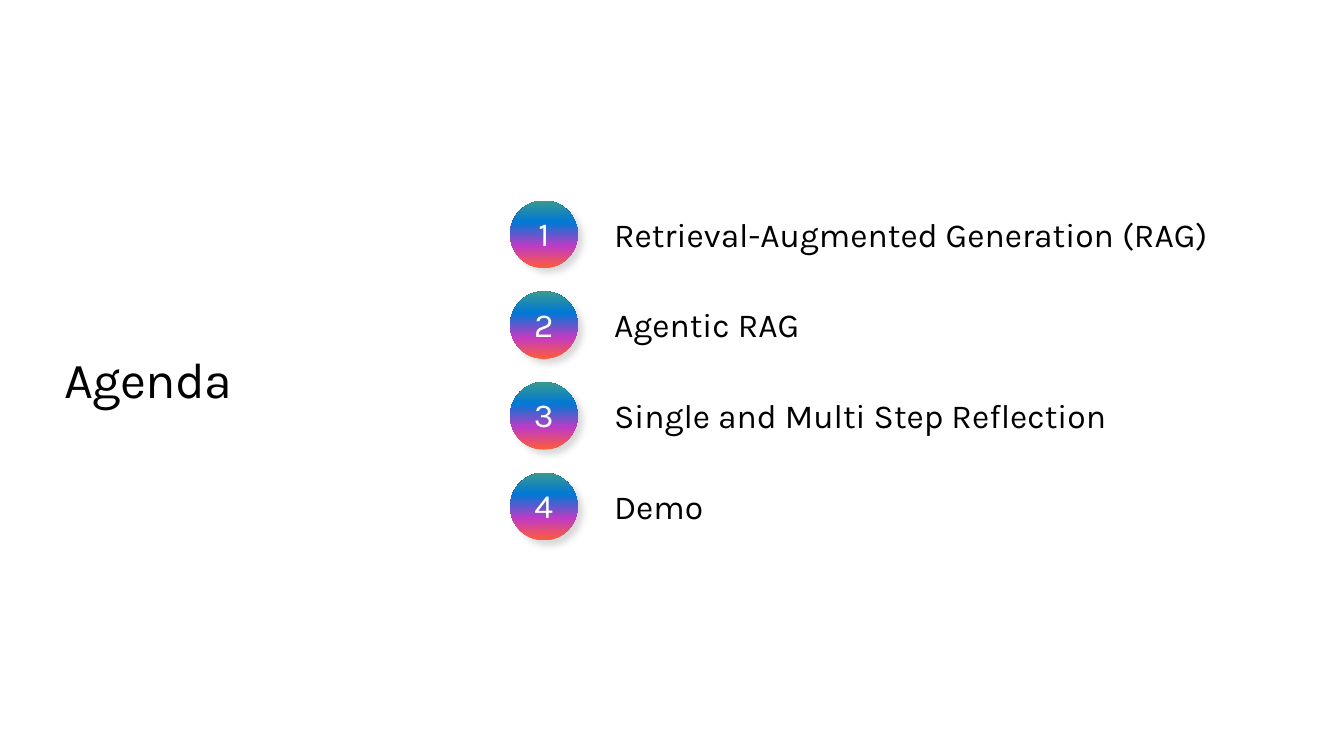
"""Build the agenda slide with four numbered topics."""
from dataclasses import dataclass

import lxml.etree
import pptx
import pptx.dml.color
import pptx.enum.shapes
import pptx.enum.text
import pptx.oxml
import pptx.oxml.ns
import pptx.shapes.autoshape
import pptx.slide
import pptx.util

Inches = pptx.util.Inches
RGBColor = pptx.dml.color.RGBColor
Align = pptx.enum.text.PP_ALIGN
AutoSize = pptx.enum.text.MSO_AUTO_SIZE

FONT = "Karla"
BLACK = RGBColor(0x00, 0x00, 0x00)
WHITE = RGBColor(0xFF, 0xFF, 0xFF)
SHADOW = RGBColor(0x45, 0x41, 0x42)
GRADIENT = (
    (0, RGBColor(0xFF, 0x5C, 0x39)),
    (32, RGBColor(0xC0, 0x3B, 0xC4)),
    (68, RGBColor(0x00, 0x78, 0xD4)),
    (100, RGBColor(0x39, 0x9A, 0x91)),
)
FIRST_TOP = 1.99
ROW_STEP = 0.9
BADGE_SIZE = 0.67
NAMESPACE = pptx.oxml.ns.nsdecls("a")


@dataclass(frozen=True)
class Topic:
    label: str
    width: float


TOPICS = (
    Topic("Retrieval-Augmented Generation (RAG)", 6.76),
    Topic("Agentic RAG", 5.62),
    Topic("Single and Multi Step Reflection", 6.26),
    Topic("Demo", 5.62),
)


def write_text(
    box: pptx.shapes.autoshape.Shape,
    text: str,
    *,
    size: float = 24,
    color: RGBColor = BLACK,
    align: Align = Align.LEFT,
    margin_top: float = 0,
    margin_bottom: float = 0,
    auto_size: AutoSize = AutoSize.SHAPE_TO_FIT_TEXT,
    tracking: float = 0,
) -> None:
    frame = box.text_frame
    frame.word_wrap = True
    frame.auto_size = auto_size
    frame.vertical_anchor = pptx.enum.text.MSO_ANCHOR.MIDDLE
    frame.margin_left = frame.margin_right = 0
    frame.margin_top = Inches(margin_top)
    frame.margin_bottom = Inches(margin_bottom)
    para = frame.paragraphs[0]
    para.alignment = align
    span = para.add_run()
    span.text = text
    span.font.name = FONT
    span.font.size = pptx.util.Pt(size)
    span.font.color.rgb = color
    if tracking:
        span.font._element.set("spc", str(round(tracking * 100)))


def fill_gradient(badge: pptx.shapes.autoshape.Shape) -> None:
    badge.fill.gradient()
    badge.fill.gradient_angle = 90
    stops = badge._element.spPr.find(".//" + pptx.oxml.ns.qn("a:gsLst"))
    for stop in list(stops):
        stops.remove(stop)
    for position, color in GRADIENT:
        stops.append(pptx.oxml.parse_xml(
            f'<a:gs {NAMESPACE} pos="{position * 1000}"><a:srgbClr val="{color}"/></a:gs>'
        ))


def add_shadow(badge: pptx.shapes.autoshape.Shape) -> None:
    badge.shadow.inherit = False
    effects = badge._element.spPr.find(pptx.oxml.ns.qn("a:effectLst"))
    distance = pptx.util.Pt(5)
    shadow = lxml.etree.SubElement(
        effects, pptx.oxml.ns.qn("a:outerShdw"), blurRad=str(distance),
        dist=str(distance), dir=str(45 * 60000), algn="tl", rotWithShape="0",
    )
    color = lxml.etree.SubElement(shadow, pptx.oxml.ns.qn("a:srgbClr"), val=str(SHADOW))
    lxml.etree.SubElement(color, pptx.oxml.ns.qn("a:alpha"), val="20000")


def add_badge(page: pptx.slide.Slide, number: int, top: float) -> None:
    badge = page.shapes.add_shape(
        pptx.enum.shapes.MSO_SHAPE.OVAL,
        Inches(5.06), Inches(top), Inches(BADGE_SIZE), Inches(BADGE_SIZE),
    )
    fill_gradient(badge)
    badge.line.fill.background()
    add_shadow(badge)
    write_text(
        badge, str(number), color=WHITE, align=Align.CENTER,
        margin_top=0.02, margin_bottom=0.05, auto_size=AutoSize.NONE,
    )


def add_topic(page: pptx.slide.Slide, topic: Topic, top: float) -> None:
    box = page.shapes.add_textbox(
        Inches(6.09), Inches(top), Inches(topic.width), Inches(0.4)
    )
    write_text(box, topic.label)


def main() -> None:
    deck = pptx.Presentation()
    deck.slide_width = Inches(13.33)
    deck.slide_height = Inches(7.5)
    page = deck.slides.add_slide(deck.slide_layouts.get_by_name("Title Only"))
    title = page.shapes.title
    title.left, title.top = Inches(0.64), Inches(3.45)
    title.width, title.height = Inches(4.51), Inches(0.61)
    write_text(title, "Agenda", size=36, tracking=-0.5)
    for index, topic in enumerate(TOPICS):
        top = FIRST_TOP + index * ROW_STEP
        add_badge(page, index + 1, top)
        add_topic(page, topic, top + 0.13)
    deck.save("out.pptx")


if __name__ == "__main__":
    main()
